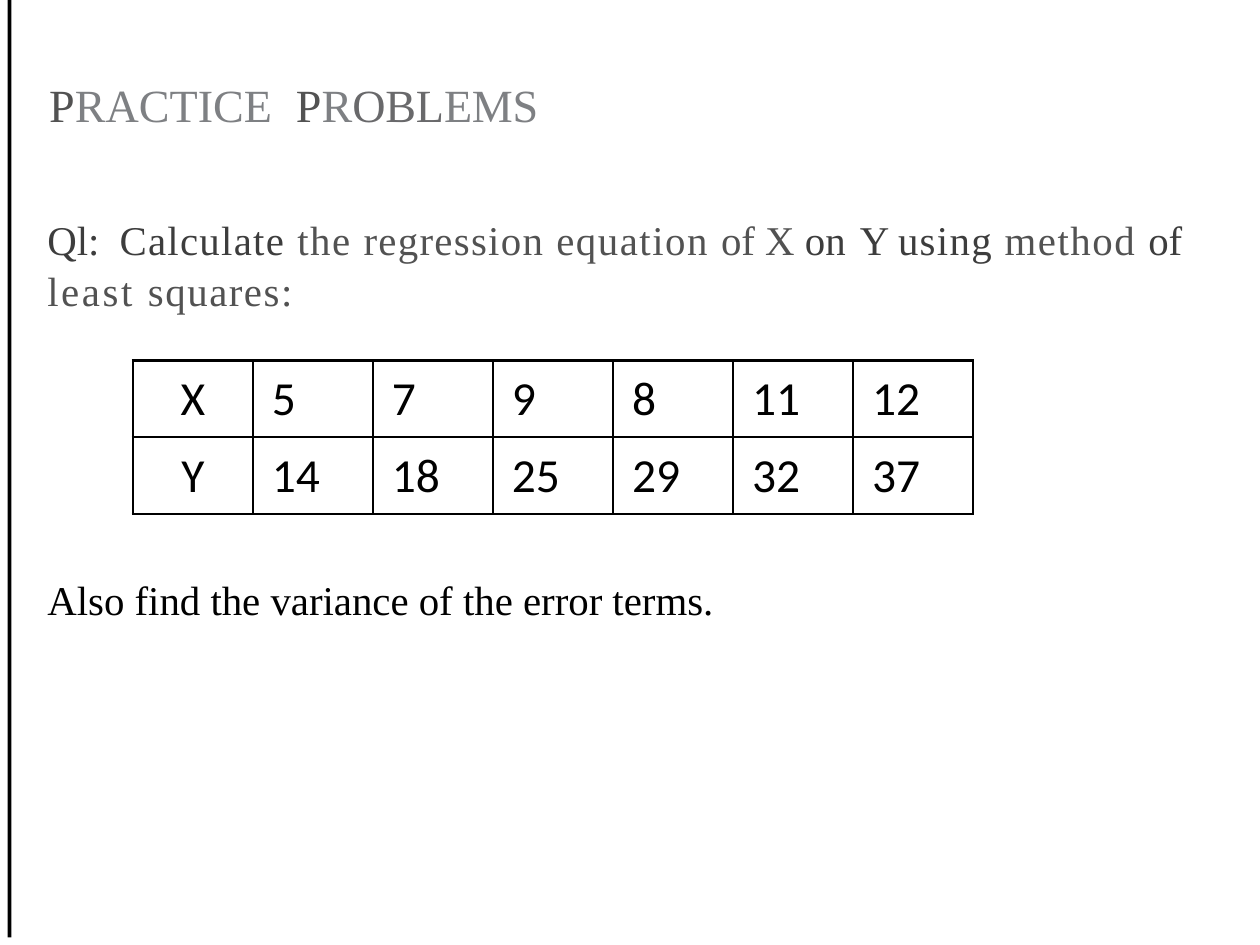
from dataclasses import dataclass

from lxml.etree import SubElement
from pptx import Presentation
from pptx.dml.color import RGBColor
from pptx.enum.shapes import MSO_SHAPE
from pptx.enum.text import PP_ALIGN
from pptx.oxml.ns import qn
from pptx.util import Inches, Pt


@dataclass(frozen=True)
class Theme:
    serif: str = "Times New Roman"
    sans: str = "Calibri"
    black: str = "000000"
    dark: str = "3D3D3D"
    medium: str = "525252"
    soft: str = "69696B"
    light: str = "7E8083"
    title_size: float = 17.5
    body_size: float = 15.5
    table_size: float = 18
    border_width: float = 1


THEME = Theme()

# Each run: text, colour, letter spacing in points
TITLE_RUNS = [
    ("P", THEME.medium, 0),
    ("RACTICE", THEME.light, 0),
    (" ", THEME.light, 4.5),
    ("P", THEME.medium, -0.1),
    ("R", THEME.light, -0.1),
    ("OBL", THEME.soft, -0.1),
    ("EMS", THEME.light, -0.1),
]
QUESTION_RUNS = [
    ("Ql:", THEME.dark, 0),
    (" ", THEME.dark, 3.7),
    ("Calculate ", THEME.dark, 0.5),
    ("the ", THEME.medium, 0.6),
    ("regression ", THEME.medium, 0.5),
    ("equation ", THEME.medium, 0.6),
    ("of X ", THEME.medium, 0),
    ("on", THEME.dark, 0),
    (" ", THEME.dark, 1.5),
    ("Y ", THEME.dark, 0),
    ("using ", THEME.dark, 0.5),
    ("method ", THEME.medium, 0.6),
    ("of ", THEME.dark, 0),
    ("least ", THEME.medium, 1),
    ("squares:", THEME.medium, 0.6),
]
FOLLOW_UP_RUNS = [("Also find the variance of the error terms.", THEME.black, 0)]
DATA = [
    ("X", 5, 7, 9, 8, 11, 12),
    ("Y", 14, 18, 25, 29, 32, 37),
]


def style_font(font, name, size, color):
    font.name = name
    font.size = Pt(size)
    font.color.rgb = RGBColor.from_string(color)


def add_side_rule(slide, left, top, width, height):
    rule = slide.shapes.add_shape(
        MSO_SHAPE.RECTANGLE, Inches(left), Inches(top), Inches(width), Inches(height))
    rule.shadow.inherit = False
    rule.fill.solid()
    rule.fill.fore_color.rgb = RGBColor.from_string(THEME.black)
    rule.line.fill.background()


def add_text(slide, left, top, width, height, runs, size):
    """Add a text box of one paragraph with individually spaced, coloured runs."""
    box = slide.shapes.add_textbox(
        Inches(left), Inches(top), Inches(width), Inches(height))
    frame = box.text_frame
    frame.word_wrap = True
    frame.margin_left = frame.margin_top = frame.margin_right = frame.margin_bottom = 0
    paragraph = frame.paragraphs[0]
    paragraph.line_spacing = 1.04
    for text, color, spacing in runs:
        run = paragraph.add_run()
        run.text = text
        style_font(run.font, THEME.serif, size, color)
        if spacing:
            run.font._element.set("spc", str(round(spacing * 100)))


def add_borders(cell):
    properties = cell._tc.get_or_add_tcPr()
    for index, side in enumerate(("a:lnL", "a:lnR", "a:lnT", "a:lnB")):
        line = SubElement(properties, qn(side), w=str(Pt(THEME.border_width)))
        fill = SubElement(line, qn("a:solidFill"))
        SubElement(fill, qn("a:srgbClr"), val=THEME.black)
        properties.insert(index, line)


def add_data_table(slide, left, top, width, height):
    shape = slide.shapes.add_table(
        len(DATA), len(DATA[0]), Inches(left), Inches(top), Inches(width), Inches(height))
    table = shape.table
    table.first_row = table.horz_banding = False
    for row, values in enumerate(DATA):
        for column, value in enumerate(values):
            cell = table.cell(row, column)
            cell.fill.background()
            add_borders(cell)
            cell.text_frame.text = str(value)
            paragraph = cell.text_frame.paragraphs[0]
            paragraph.alignment = PP_ALIGN.CENTER if column == 0 else PP_ALIGN.LEFT
            style_font(paragraph.runs[0].font, THEME.sans, THEME.table_size, THEME.black)


def build_practice_slide(presentation):
    slide = presentation.slides.add_slide(presentation.slide_layouts[6])
    add_side_rule(slide, 0.04, 0, 0.02, 4.94)
    add_text(slide, 0.26, 0.39, 2.8, 0.3, TITLE_RUNS, THEME.title_size)
    add_text(slide, 0.25, 1.12, 6.1, 0.52, QUESTION_RUNS, THEME.body_size)
    add_data_table(slide, 0.7, 1.9, 4.43, 0.81)
    add_text(slide, 0.25, 3.02, 6.1, 0.26, FOLLOW_UP_RUNS, THEME.body_size)


def main():
    presentation = Presentation()
    presentation.slide_width = Inches(6.64)
    presentation.slide_height = Inches(4.98)
    build_practice_slide(presentation)
    presentation.save("out.pptx")


if __name__ == "__main__":
    main()
